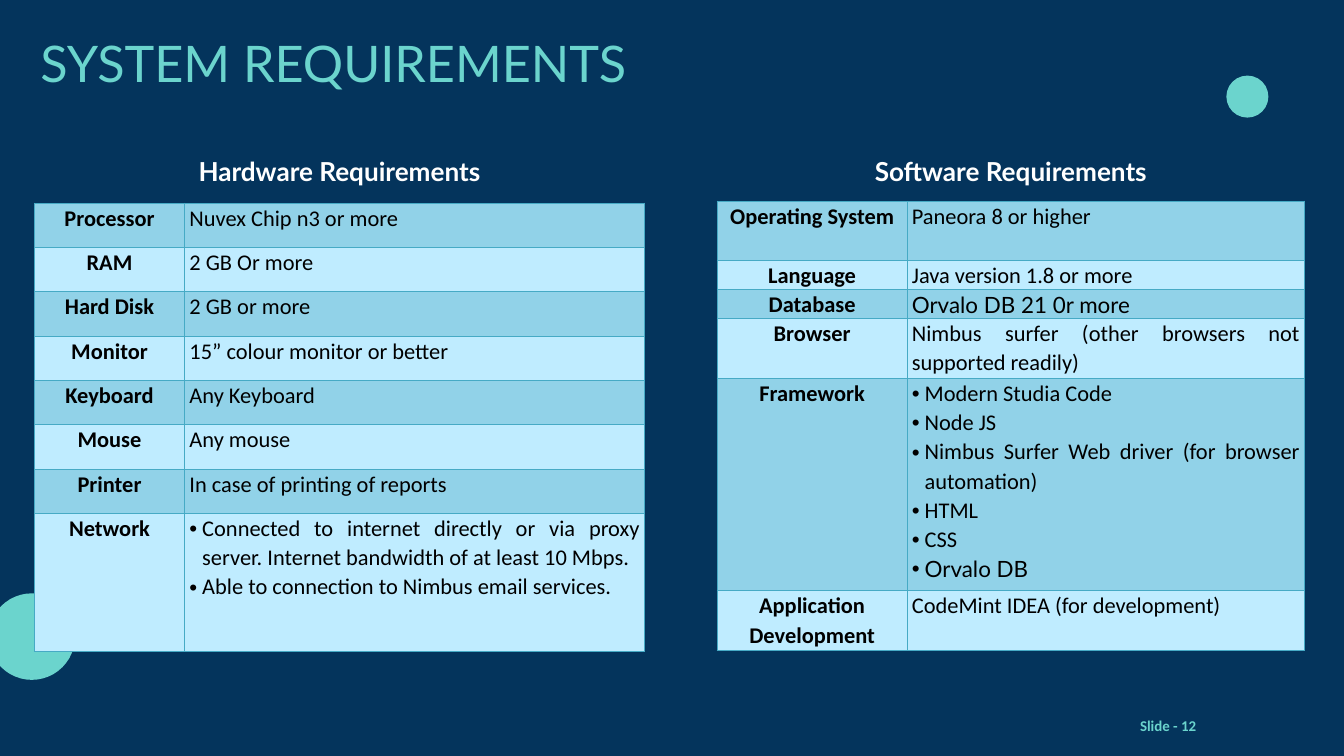
from lxml import etree
from pptx import Presentation
from pptx import util as u
from pptx.dml.color import RGBColor
from pptx.enum import shapes, text
from pptx.oxml import ns

COLS, ROWS = 160, 90
HEAD, BODY = "Lato", "Calibri"
NAVY, TEAL, EDGE = "04345C", "6BD4CD", "46AAC5"
DARK, PALE = "91D2E8", "BFECFF"
WHITE, BLACK = "FFFFFF", "000000"
LEFT, MID = text.PP_ALIGN.LEFT, text.PP_ALIGN.CENTER
RIGHT, FULL = text.PP_ALIGN.RIGHT, text.PP_ALIGN.JUSTIFY

# Each row: label, height in grid rows, lines; several lines make a list.
HARD = [
    ("Processor", 5.28, ["Nuvex Chip n3 or more"]),
    ("RAM", 5.28, ["2 GB Or more"]),
    ("Hard Disk", 5.28, ["2 GB or more"]),
    ("Monitor", 5.28, ["15” colour monitor or better"]),
    ("Keyboard", 5.28, ["Any Keyboard"]),
    ("Mouse", 5.28, ["Any mouse"]),
    ("Printer", 5.28, ["In case of printing of reports"]),
    ("Network", 16.48, [
        "Connected to internet directly or via proxy server. "
        "Internet bandwidth of at least 10 Mbps.",
        "Able to connection to Nimbus email services."]),
]
SOFT = [
    ("Operating System", 7.12, ["Paneora 8 or higher"]),
    ("Language", 3.44, ["Java version 1.8 or more"]),
    ("Database", 3.44, ["Orvalo DB 21 0r more"]),
    ("Browser", 7.12, ["Nimbus surfer (other browsers not supported readily)"]),
    ("Framework", 25.28, [
        "Modern Studia Code", "Node JS",
        "Nimbus Surfer Web driver (for browser automation)",
        "HTML", "CSS", "Orvalo DB"]),
    ("Application Development", 7.12, ["CodeMint IDEA (for development)"]),
]
LATO = {"Orvalo DB 21 0r more", "Orvalo DB"}


def tint(code):
    return RGBColor.from_string(code)


class Deck:
    def __init__(self):
        self.prs = Presentation()
        self.prs.slide_width = u.Inches(20)
        self.prs.slide_height = u.Inches(11.25)
        self.slide = self.prs.slides.add_slide(self.prs.slide_layouts[5])
        fill = self.slide.background.fill
        fill.solid()
        fill.fore_color.rgb = tint(NAVY)

    def x(self, n):
        return u.Emu(round(self.prs.slide_width * n / COLS))

    def y(self, n):
        return u.Emu(round(self.prs.slide_height * n / ROWS))

    def box(self, left, top, wide, high):
        return self.x(left), self.y(top), self.x(wide), self.y(high)

    def words(self, para, line, size, color, align=LEFT, face=HEAD, bold=False):
        para.alignment = align
        run = para.add_run()
        run.text = line
        font = run.font
        font.name, font.size, font.bold = face, u.Pt(size), bold
        font.color.rgb = tint(color)

    def title(self, line, *place):
        shape = self.slide.shapes.title
        shape.left, shape.top, shape.width, shape.height = self.box(*place)
        frame = shape.text_frame
        frame.vertical_anchor = text.MSO_ANCHOR.MIDDLE
        self.words(frame.paragraphs[0], line, 54, TEAL)

    def label(self, line, place, size, color, align, face=HEAD,
              anchor=text.MSO_ANCHOR.TOP):
        frame = self.slide.shapes.add_textbox(*self.box(*place)).text_frame
        frame.word_wrap = True
        frame.vertical_anchor = anchor
        self.words(frame.paragraphs[0], line, size, color, align, face, True)

    def disc(self, left, top, size):
        shape = self.slide.shapes.add_shape(
            shapes.MSO_SHAPE.OVAL, *self.box(left, top, size, size))
        shape.shadow.inherit = False
        shape.fill.solid()
        shape.fill.fore_color.rgb = tint(TEAL)
        shape.line.fill.background()

    def table(self, left, top, widths, data):
        place = self.box(left, top, sum(widths), sum(row[1] for row in data))
        grid = self.slide.shapes.add_table(len(data), 2, *place).table
        grid.first_row = grid.horz_banding = False
        for col, wide in zip(grid.columns, widths):
            col.width = self.x(wide)
        for i, (name, high, lines) in enumerate(data):
            grid.rows[i].height = self.y(high)
            shade = PALE if i % 2 else DARK
            self.cell(grid.cell(i, 0), [name], shade, MID, True)
            self.cell(grid.cell(i, 1), lines, shade, FULL, False)

    def cell(self, cell, lines, shade, align, bold):
        cell.margin_left = cell.margin_right = u.Inches(0.07)
        cell.margin_top = cell.margin_bottom = 0
        self.edge(cell)
        cell.fill.solid()
        cell.fill.fore_color.rgb = tint(shade)
        frame = cell.text_frame
        for i, line in enumerate(lines):
            para = frame.add_paragraph() if i else frame.paragraphs[0]
            para.line_spacing = 1.07
            if len(lines) > 1:
                self.dot(para)
            face = HEAD if line in LATO else BODY
            self.words(para, line, 24, BLACK, align, face, bold)

    def edge(self, cell):
        """Draw a thin border on all four sides of a cell."""
        props = cell._tc.get_or_add_tcPr()
        for side in ("lnL", "lnR", "lnT", "lnB"):
            line = etree.SubElement(props, ns.qn("a:" + side), w=str(u.Pt(0.75)))
            fill = etree.SubElement(line, ns.qn("a:solidFill"))
            etree.SubElement(fill, ns.qn("a:srgbClr"), val=EDGE)

    def dot(self, para):
        """Give a paragraph a round bullet and a hanging indent."""
        props = para._p.get_or_add_pPr()
        hang = u.Inches(0.19)
        props.set("marL", str(hang))
        props.set("indent", str(-hang))
        etree.SubElement(props, ns.qn("a:buFont"), typeface="Arial")
        etree.SubElement(props, ns.qn("a:buChar"), char="•")


def main():
    deck = Deck()
    deck.disc(146, 9, 5)
    deck.disc(-1.36, 70.64, 10.3)
    deck.title("SYSTEM REQUIREMENTS", 4, 2.4, 139.4, 10)
    deck.label("Slide - 12", (124.56, 84.72, 18.64, 3.2), 16, TEAL, RIGHT,
               BODY, text.MSO_ANCHOR.MIDDLE)
    deck.label("Hardware Requirements", (10.72, 18.08, 59.36, 3.6), 28, WHITE, MID)
    deck.table(4.08, 24.16, (17.92, 54.72), HARD)
    deck.label("Software Requirements", (98.32, 18.08, 44, 3.6), 28, WHITE, MID)
    deck.table(85.36, 23.92, (22.64, 47.28), SOFT)
    deck.prs.save("out.pptx")


if __name__ == "__main__":
    main()
